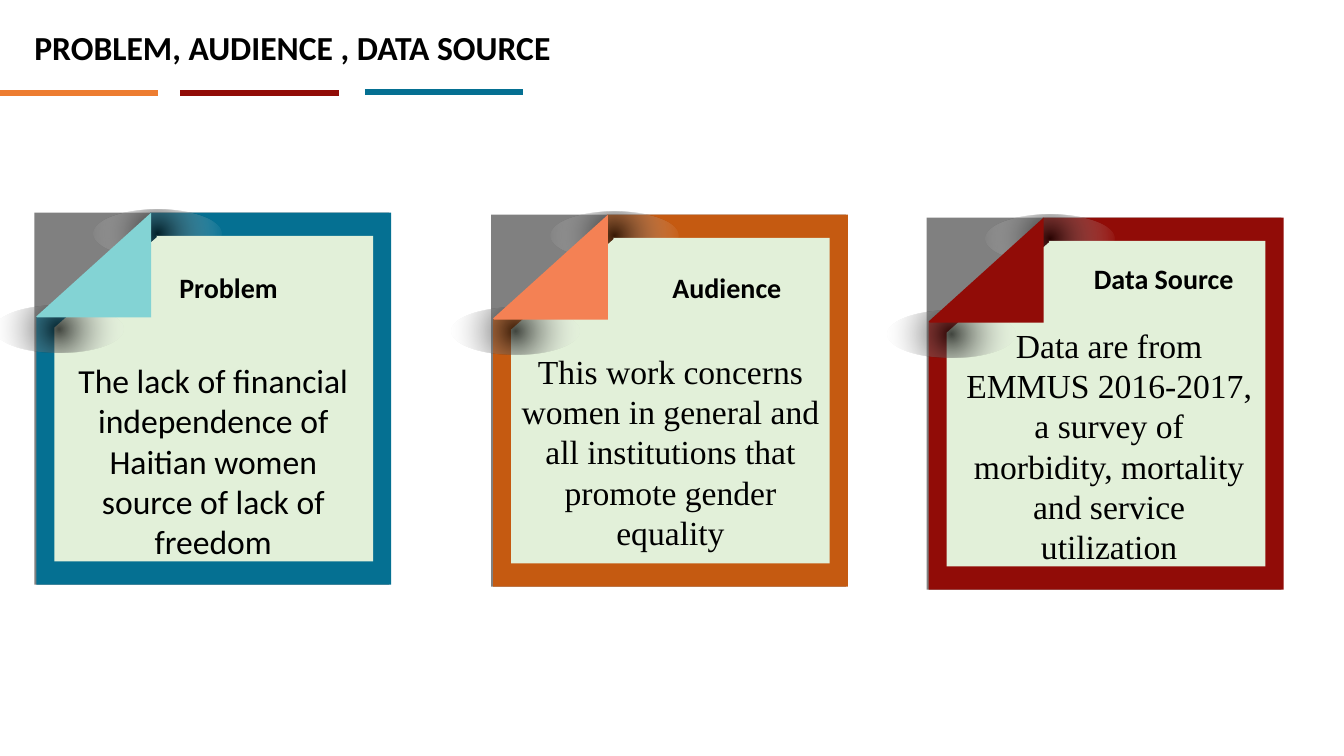
from lxml.etree import SubElement
from pptx import Presentation
from pptx.dml.color import RGBColor
from pptx.enum.shapes import MSO_CONNECTOR, MSO_SHAPE
from pptx.enum.text import MSO_ANCHOR, MSO_AUTO_SIZE, PP_ALIGN
from pptx.oxml import parse_xml
from pptx.oxml.ns import nsdecls, qn
from pptx.util import Inches, Pt

# Content: boxes are left, top, width, height in inches
TITLE = "PROBLEM, AUDIENCE , DATA SOURCE"
TITLE_BOX = (0.24, 0.22, 6.39, 0.5)
RULES = [(0, 0.92, "ED7D31"), (1.79, 0.92, "910C07"), (3.62, 0.91, "057092")]
RULE_LENGTH = 1.57
CARDS = [
    {"corner": (0.34, 2.11), "frame": "057092", "fold": "83D3D4",
     "heading": "Problem", "heading_box": (1.68, 2.63, 1.95, 0.44),
     "heading_align": PP_ALIGN.LEFT,
     "body": "The lack of financial independence of Haitian women source of "
             "lack of freedom",
     "body_box": (0.67, 3.52, 2.89, 2.12), "body_font": "Calibri"},
    {"corner": (4.87, 2.13), "frame": "C55A11", "fold": "F48154",
     "heading": "Audience", "heading_box": (6.31, 2.63, 1.8, 0.44),
     "heading_align": PP_ALIGN.CENTER,
     "body": "This work concerns women in general and all institutions that "
             "promote gender equality",
     "body_box": (5.07, 3.43, 3.16, 2.12), "body_font": "Times New Roman"},
    {"corner": (9.19, 2.16), "frame": "910C07", "fold": "910C07",
     "heading": "Data Source", "heading_box": (10.75, 2.55, 1.81, 0.44),
     "heading_align": PP_ALIGN.LEFT,
     "body": "Data are from EMMUS 2016-2017, a survey of morbidity, mortality "
             "and service utilization",
     "body_box": (9.44, 3.17, 3.12, 2.83), "body_font": "Times New Roman"},
]

# Card geometry, measured from the card's corner
CARD_SIZE = (3.52, 3.69)
FRAME = [(1.15, 0), (3.54, 0), (3.54, 3.69), (0.02, 3.69), (0.02, 1.04), (1.16, 0.02)]
PANEL = [(1.21, 0.23), (3.36, 0.23), (3.36, 3.46), (0.2, 3.46), (0.2, 1.14), (1.22, 0.24)]
FOLD = [(1.16, 1.04), (0.03, 1.04), (0.02, 1.03), (1.16, 0)]
SHADE_SIZE = (1.27, 0.47)
TOP_SHADE, SIDE_SHADE = (0.59, -0.03), (-0.39, 0.92)
SHADE_FILL = f"""<a:gradFill {nsdecls('a')} rotWithShape="1"><a:gsLst>
<a:gs pos="0"><a:srgbClr val="000000"><a:alpha val="71000"/></a:srgbClr></a:gs>
<a:gs pos="99000"><a:srgbClr val="FFFFFF"><a:alpha val="0"/></a:srgbClr></a:gs>
</a:gsLst><a:path path="circle">
<a:fillToRect l="50000" t="50000" r="50000" b="50000"/></a:path></a:gradFill>"""


def color(hex_value):
    return RGBColor.from_string(hex_value)


def paint(shape, hex_value):
    shape.shadow.inherit = False
    shape.line.fill.background()
    shape.fill.solid()
    shape.fill.fore_color.rgb = color(hex_value)


def add_outline(slide, corner, points, hex_value):
    spots = [(Inches(corner[0] + x), Inches(corner[1] + y)) for x, y in points]
    builder = slide.shapes.build_freeform(*spots[0])
    builder.add_line_segments(spots[1:], close=True)
    paint(builder.convert_to_shape(), hex_value)


def add_preset(slide, preset, corner, offset, size, hex_value):
    box = (corner[0] + offset[0], corner[1] + offset[1], *size)
    shape = slide.shapes.add_shape(preset, *map(Inches, box))
    paint(shape, hex_value)
    return shape


def add_shade(slide, corner, offset):
    shade = add_preset(slide, MSO_SHAPE.OVAL, corner, offset, SHADE_SIZE, "000000")
    solid = shade.fill._xPr.find(qn("a:solidFill"))
    solid.getparent().replace(solid, parse_xml(SHADE_FILL))


def write(holder, text, size, font="Calibri", bold=False, align=PP_ALIGN.LEFT):
    frame = holder.text_frame
    frame.text = text
    frame_format = {"word_wrap": True, "auto_size": MSO_AUTO_SIZE.NONE,
                    "vertical_anchor": MSO_ANCHOR.TOP}
    for key, value in frame_format.items():
        setattr(frame, key, value)
    paragraph = frame.paragraphs[0]
    paragraph.alignment = align
    run_font = paragraph.runs[0].font
    for key, value in {"name": font, "size": Pt(size), "bold": bold}.items():
        setattr(run_font, key, value)
    run_font.color.rgb = color("000000")


def add_text(slide, box, *args, **text_format):
    write(slide.shapes.add_textbox(*map(Inches, box)), *args, **text_format)


def add_card(slide, card):
    corner = card["corner"]
    # Folded paper, from back to front
    add_preset(slide, MSO_SHAPE.RECTANGLE, corner, (0, 0), CARD_SIZE, "808080")
    add_outline(slide, corner, FRAME, card["frame"])
    add_shade(slide, corner, TOP_SHADE)
    add_outline(slide, corner, PANEL, "E2F0D9")
    add_shade(slide, corner, SIDE_SHADE)
    add_outline(slide, corner, FOLD, card["fold"])
    # Words
    add_text(slide, card["heading_box"], card["heading"], 20, bold=True,
             align=card["heading_align"])
    add_text(slide, card["body_box"], card["body"], 24, card["body_font"],
             align=PP_ALIGN.CENTER)


def add_rule(slide, left, top, hex_value):
    ends = map(Inches, (left, top, left + RULE_LENGTH, top))
    rule = slide.shapes.add_connector(MSO_CONNECTOR.STRAIGHT, *ends)
    rule.line.color.rgb = color(hex_value)
    rule.line.width = Pt(4.5)
    SubElement(rule._element.spPr, qn("a:effectLst"))


def main():
    deck = Presentation()
    deck.slide_width, deck.slide_height = Inches(13.33), Inches(7.5)
    slide = deck.slides.add_slide(deck.slide_layouts[5])

    # Title and its coloured rules
    title = slide.shapes.title
    for side, value in zip(("left", "top", "width", "height"), TITLE_BOX):
        setattr(title, side, Inches(value))
    write(title, TITLE, 24, bold=True)
    for rule in RULES:
        add_rule(slide, *rule)

    for card in CARDS:
        add_card(slide, card)
    deck.save("out.pptx")


if __name__ == "__main__":
    main()
